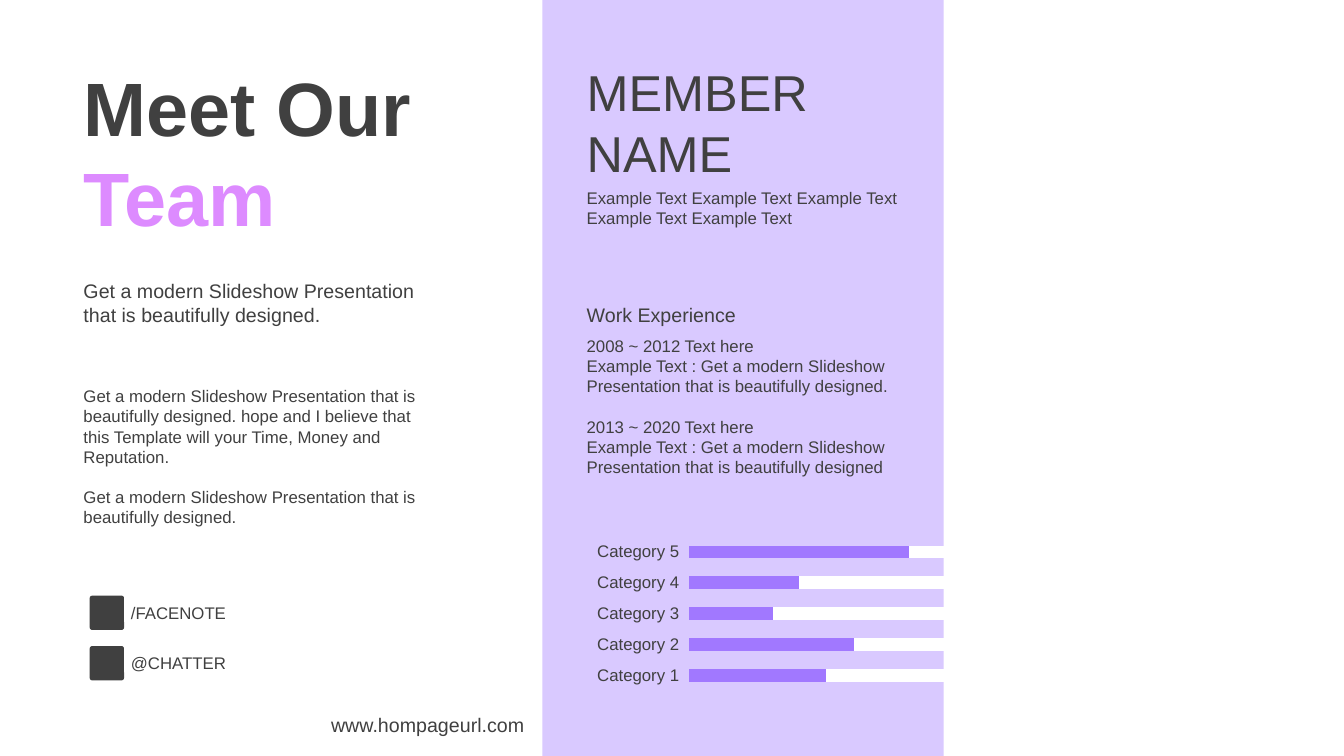
import pptx
import pptx.chart.data
import pptx.dml.color
import pptx.enum.chart
import pptx.enum.shapes
import pptx.enum.text
import pptx.util

Inches = pptx.util.Inches
Pt = pptx.util.Pt
Align = pptx.enum.text.PP_ALIGN
Anchor = pptx.enum.text.MSO_ANCHOR
Preset = pptx.enum.shapes.MSO_SHAPE

COLORS = {
    "text": "404040",
    "panel": "D9C9FF",
    "accent": "DD8BFF",
    "bar": "A178FF",
    "rest": "FFFFFF",
}
LEFT_X = 0.73
PANEL_X = 5.72
PANEL_TEXT_WIDTH = 3.33
PITCH = "Get a modern Slideshow Presentation that is beautifully designed"


def rgb(name):
    return pptx.dml.color.RGBColor.from_string(COLORS[name])


def apply_format(target, values):
    for name, value in values.items():
        setattr(target, name, value)


def style_font(font, size, color="text", bold=False):
    apply_format(font, {"name": "Arial", "size": Pt(size), "bold": bold})
    font.color.rgb = rgb(color)


def add_block(page, kind, left, top, width, height, color):
    block = page.shapes.add_shape(
        kind, Inches(left), Inches(top), Inches(width), Inches(height))
    block.shadow.inherit = False
    block.fill.solid()
    block.fill.fore_color.rgb = rgb(color)
    block.line.fill.background()
    return block


def add_text(page, left, top, width, height, size, paragraphs,
             bold=False, gaps=(), **frame_format):
    align = frame_format.pop("align", Align.LEFT)
    box = page.shapes.add_textbox(
        Inches(left), Inches(top), Inches(width), Inches(height))
    frame = box.text_frame
    apply_format(frame, {"word_wrap": True, **frame_format})
    for index, spans in enumerate(paragraphs):
        para = frame.paragraphs[0] if index == 0 else frame.add_paragraph()
        apply_format(para, {
            "alignment": align,
            "line_spacing": 1.0,
            "space_before": Pt(size * 1.2 if index in gaps else 0),
        })
        if isinstance(spans, str):
            spans = [(spans, "text")]
        for text, color in spans:
            span = para.add_run()
            span.text = text
            style_font(span.font, size, color, bold)


def add_skill_chart(page):
    data = pptx.chart.data.CategoryChartData()
    data.categories = [f"Category {number}" for number in range(1, 6)]
    data.add_series("Series 1", (62, 75, 38, 50, 100))
    data.add_series("Series 2", (62, 50, 88, 75, 25))
    chart = page.shapes.add_chart(
        pptx.enum.chart.XL_CHART_TYPE.BAR_STACKED,
        Inches(PANEL_X), Inches(5.17), Inches(4.56), Inches(1.84), data).chart
    apply_format(chart, {"has_legend": False, "has_title": False})
    style_font(chart.font, 12)
    apply_format(chart.value_axis, {
        "visible": False,
        "has_major_gridlines": False,
        "minimum_scale": 0,
        "maximum_scale": 150,
    })
    chart.category_axis.format.line.fill.background()
    style_font(chart.category_axis.tick_labels.font, 12)
    plot = chart.plots[0]
    apply_format(plot, {"gap_width": 140, "overlap": 100, "vary_by_categories": False})
    for series, color in zip(plot.series, ("bar", "rest")):
        series.format.fill.solid()
        series.format.fill.fore_color.rgb = rgb(color)
    set_plot_layout(chart, {"x": 0.245, "y": 0.083, "w": 0.718, "h": 0.834})


def set_plot_layout(chart, fractions):
    area = chart._chartSpace.chart.plotArea
    namespace = area.nsmap["c"]
    layout = area.find(f"{{{namespace}}}layout")
    if layout is None:
        layout = pptx.oxml.xmlchemy.OxmlElement("c:layout")
        area.insert(0, layout)
    manual = pptx.oxml.xmlchemy.OxmlElement("c:manualLayout")
    layout.append(manual)
    settings = {"layoutTarget": "inner", "xMode": "edge", "yMode": "edge", **fractions}
    for tag, value in settings.items():
        setting = pptx.oxml.xmlchemy.OxmlElement(f"c:{tag}")
        setting.set("val", str(value))
        manual.append(setting)


def add_introduction(page):
    add_text(page, LEFT_X, 0.55, 4.12, 1.92, 54,
             [[("Meet Our ", "text"), ("Team", "accent")]], bold=True)
    add_text(page, LEFT_X, 2.72, 3.73, 0.57, 14, [f"{PITCH}."])
    add_text(page, LEFT_X, 3.78, 3.73, 1.51, 12, [
        f"{PITCH}. hope and I believe that this Template will your Time, "
        "Money and Reputation.",
        f"{PITCH}.",
    ], gaps=(1,))
    for index, handle in enumerate(("/FACENOTE", "@CHATTER")):
        top = 5.91 + 0.5 * index
        icon = add_block(page, Preset.ROUNDED_RECTANGLE, 0.89, top, 0.34, 0.34, "text")
        icon.adjustments[0] = 0.07
        add_text(page, 1.2, top + 0.02, 1.34, 0.3, 12, [handle],
                 vertical_anchor=Anchor.MIDDLE)
    add_text(page, 2.97, 7.02, 2.33, 0.34, 14, ["www.hompageurl.com"],
             align=Align.RIGHT, vertical_anchor=Anchor.MIDDLE)


def add_member(page):
    add_text(page, PANEL_X, 0.56, PANEL_TEXT_WIDTH, 1.31, 36, ["MEMBER", "NAME"])
    add_text(page, PANEL_X, 1.81, PANEL_TEXT_WIDTH, 0.5, 12,
             [" ".join(["Example Text"] * 5)], vertical_anchor=Anchor.MIDDLE)
    add_text(page, PANEL_X, 2.96, 1.69, 0.34, 14, ["Work Experience"], word_wrap=False)
    add_text(page, PANEL_X, 3.28, PANEL_TEXT_WIDTH, 1.51, 12, [
        "2008 ~ 2012 Text here",
        f"Example Text : {PITCH}.",
        "2013 ~ 2020 Text here",
        f"Example Text : {PITCH}",
    ], gaps=(2,))
    add_skill_chart(page)


def main():
    deck = pptx.Presentation()
    apply_format(deck, {"slide_width": Inches(13.33), "slide_height": Inches(7.5)})
    page = deck.slides.add_slide(deck.slide_layouts[6])
    add_block(page, Preset.RECTANGLE, 5.38, 0, 3.98, 7.5, "panel")
    add_introduction(page)
    add_member(page)
    deck.save("out.pptx")


if __name__ == "__main__":
    main()
